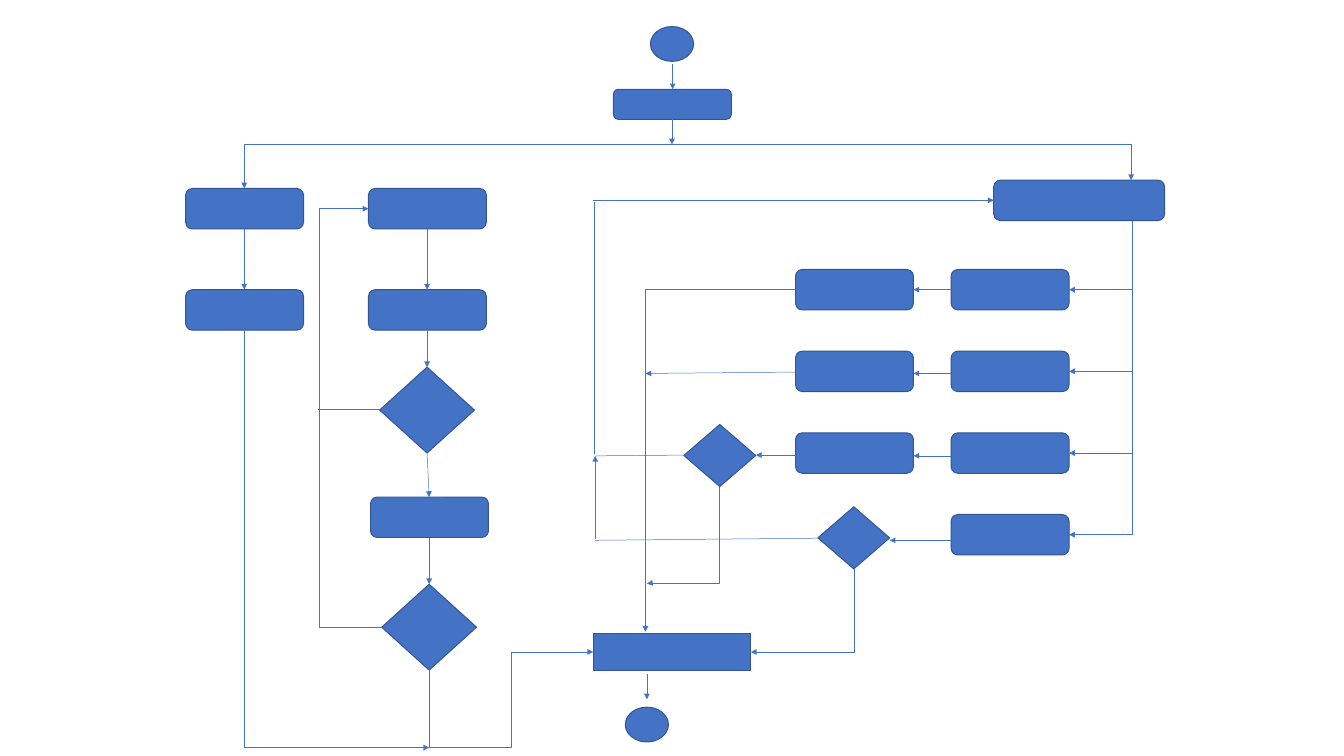
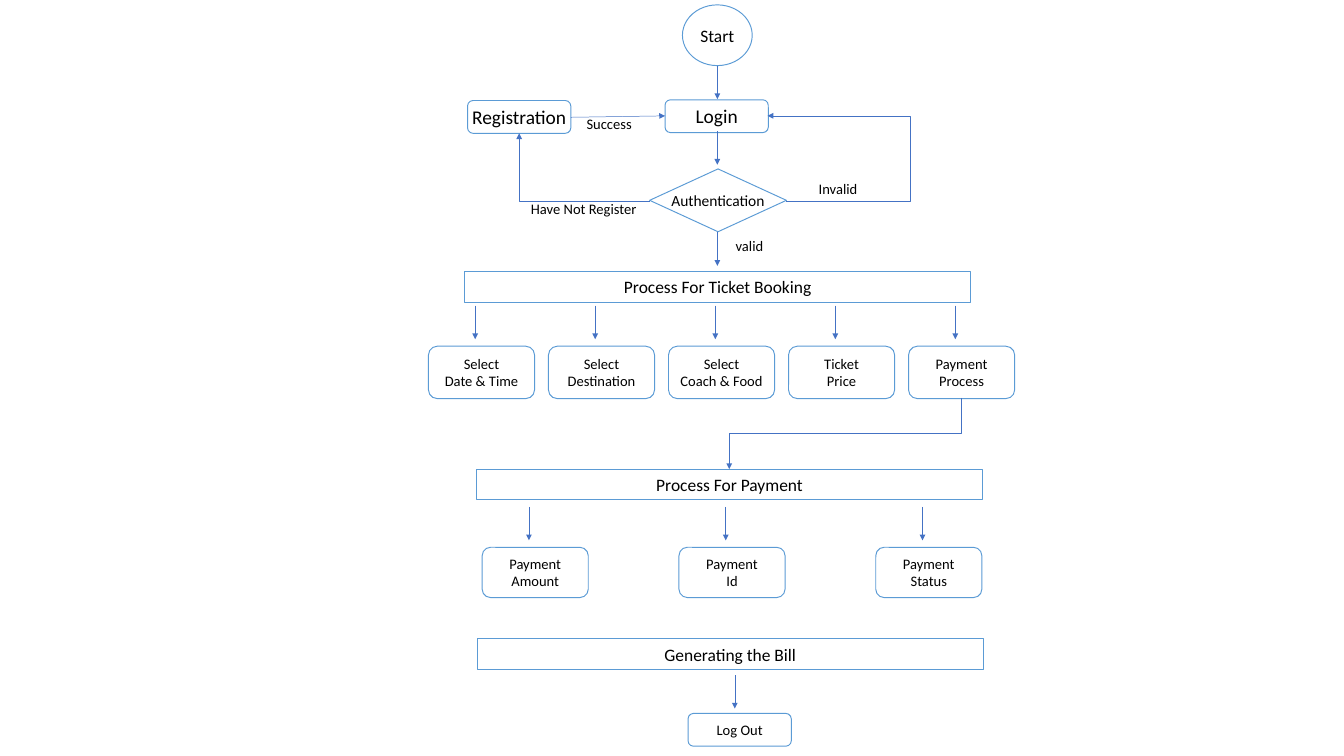
"""Build two flow charts: a bare process outline and a ticket booking flow."""
import dataclasses

import lxml.etree
import pptx
import pptx.dml.color
import pptx.enum.shapes
import pptx.enum.text
import pptx.oxml.ns
import pptx.util

Inches = pptx.util.Inches
Pt = pptx.util.Pt
Color = pptx.dml.color.RGBColor.from_string
Shape = pptx.enum.shapes.MSO_SHAPE
Link = pptx.enum.shapes.MSO_CONNECTOR
qn = pptx.oxml.ns.qn


@dataclasses.dataclass(frozen=True)
class Theme:
    """Colours, type sizes and line widths of the deck."""
    font: str = "Calibri"
    ink: str = "000000"
    wire: str = "4472C4"
    solid: tuple = ("4472C4", "325491")
    plain: tuple = ("FFFFFF", "5B9BD5")
    large: int = 20
    head: int = 18
    mid: int = 16
    small: int = 15
    edge: float = 1
    thin: float = 0.5


theme = Theme()


def add_box(page, kind, spot, look, text="", size=theme.small):
    """Add a shape, or a text box when kind is None, with centred lines."""
    place = [Inches(part) for part in spot]
    if kind is None:
        box = page.shapes.add_textbox(*place)
    else:
        box = page.shapes.add_shape(kind, *place)
        box.shadow.inherit = False
        box.fill.solid()
        box.fill.fore_color.rgb = Color(look[0])
        box.line.color.rgb = Color(look[1])
        box.line.width = Pt(theme.edge)
    if text:
        frame = box.text_frame
        frame.word_wrap = False
        frame.vertical_anchor = pptx.enum.text.MSO_ANCHOR.MIDDLE
        for row, words in enumerate(text.split("\n")):
            para = frame.add_paragraph() if row else frame.paragraphs[0]
            para.alignment = pptx.enum.text.PP_ALIGN.CENTER
            run = para.add_run()
            run.text = words
            run.font.name = theme.font
            run.font.size = Pt(size)
            run.font.color.rgb = Color(theme.ink)


def add_wire(page, *spots, arrow=True):
    """Add a connector through two, three or four points."""
    (left, top), (right, low) = spots[0], spots[-1]
    upright = len(spots) > 2 and spots[1][0] == left
    if upright:
        mid_x, mid_y = (left + right) / 2, (top + low) / 2
        wide, high = low - top, left - right
        ends = (mid_x - wide / 2, mid_y - high / 2, mid_x + wide / 2, mid_y + high / 2)
    else:
        ends = (left, top, right, low)
    kind = Link.STRAIGHT if len(spots) == 2 else Link.ELBOW
    wire = page.shapes.add_connector(kind, *[Inches(part) for part in ends])
    wire.line.color.rgb = Color(theme.wire)
    wire.line.width = Pt(theme.thin)
    props = wire.element.spPr
    if upright:
        props.find(qn("a:xfrm")).set("rot", "5400000")
    form = props.find(qn("a:prstGeom"))
    if len(spots) == 3:
        form.set("prst", "bentConnector2")
    if len(spots) == 4:
        axis = 1 if upright else 0
        start, bend, end = (spots[step][axis] for step in (0, 1, 3))
        ratio = round((bend - start) / (end - start) * 100000)
        guides = form.find(qn("a:avLst"))
        lxml.etree.SubElement(guides, qn("a:gd"), name="adj1", fmla=f"val {ratio}")
    if arrow:
        lxml.etree.SubElement(props.find(qn("a:ln")), qn("a:tailEnd"), type="triangle")
    lxml.etree.SubElement(props, qn("a:effectLst"))


deck = pptx.Presentation()
deck.slide_width = Inches(19.26)
deck.slide_height = Inches(10.83)
blank = deck.slide_layouts[6]

page = deck.slides.add_slide(blank)
rows = [3.86 + 1.17 * step for step in range(4)]
cards = [(2.66, 2.7), (2.66, 4.15), (5.28, 2.7), (5.28, 4.15), (5.31, 7.12)]
cards += [(13.63, top) for top in rows] + [(11.4, top) for top in rows[:3]]
for left, top in cards:
    add_box(page, Shape.ROUNDED_RECTANGLE, (left, top, 1.69, 0.58), theme.solid)
for kind, spot in (
    (Shape.OVAL, (9.32, 0.38, 0.62, 0.5)),
    (Shape.ROUNDED_RECTANGLE, (8.79, 1.28, 1.69, 0.43)),
    (Shape.ROUNDED_RECTANGLE, (14.24, 2.58, 2.45, 0.58)),
    (Shape.DIAMOND, (5.44, 5.26, 1.36, 1.23)),
    (Shape.DIAMOND, (5.47, 8.37, 1.36, 1.23)),
    (Shape.DIAMOND, (9.8, 6.08, 1.03, 0.89)),
    (Shape.DIAMOND, (11.72, 7.26, 1.03, 0.89)),
    (Shape.RECTANGLE, (8.5, 9.07, 2.26, 0.53)),
    (Shape.OVAL, (8.96, 10.13, 0.62, 0.5)),
):
    add_box(page, kind, spot, theme.solid)

for top in rows:
    add_wire(page, (16.22, top + 0.29), (15.32, top + 0.29))
for spots in (
    [(9.64, 0.92), (9.64, 1.28)],
    [(9.63, 1.7), (9.63, 2.07)],
    [(3.5, 2.07), (3.5, 2.7)],
    [(16.21, 2.07), (16.21, 2.58)],
    [(3.5, 3.28), (3.5, 4.15)],
    [(6.12, 3.28), (6.12, 4.15)],
    [(6.12, 4.74), (6.12, 5.26)],
    [(6.12, 6.49), (6.15, 7.12)],
    [(6.15, 7.71), (6.15, 8.37)],
    [(3.5, 10.71), (6.15, 10.71)],
    [(6.15, 10.71), (7.33, 10.71), (7.33, 9.34), (8.5, 9.34)],
    [(5.47, 8.99), (4.57, 8.99), (4.57, 2.99), (5.28, 2.99)],
    [(13.63, 4.15), (13.09, 4.15)],
    [(13.63, 5.35), (13.09, 5.35)],
    [(13.63, 6.53), (13.09, 6.53)],
    [(13.63, 7.74), (12.75, 7.74)],
    [(11.4, 6.52), (10.83, 6.52)],
    [(11.4, 4.15), (9.25, 4.15), (9.25, 9.05)],
    [(11.4, 5.33), (9.25, 5.35)],
    [(10.31, 6.97), (10.31, 8.35), (9.27, 8.35), (9.27, 8.36)],
    [(12.24, 8.15), (12.24, 9.34), (10.76, 9.34)],
    [(8.53, 7.72), (8.53, 6.53)],
    [(8.5, 2.87), (14.24, 2.87)],
    [(9.27, 9.66), (9.27, 10.02)],
):
    add_wire(page, *spots)
for start, end in (
    [(3.5, 2.07), (16.21, 2.07)],
    [(3.5, 4.74), (3.5, 10.71)],
    [(6.15, 9.6), (6.15, 10.71)],
    [(16.22, 3.16), (16.22, 7.67)],
    [(5.44, 5.87), (4.56, 5.87)],
    [(9.8, 6.52), (8.54, 6.53)],
    [(11.72, 7.71), (8.53, 7.74)],
    [(8.51, 6.51), (8.51, 2.89)],
):
    add_wire(page, start, end, arrow=False)

page = deck.slides.add_slide(blank)
for kind, spot, text, size in (
    (Shape.OVAL, (9.78, 0.07, 1, 0.87), "Start", theme.head),
    (Shape.ROUNDED_RECTANGLE, (9.53, 1.43, 1.48, 0.47), "Login", theme.large),
    (Shape.ROUNDED_RECTANGLE, (6.7, 1.44, 1.48, 0.47), "Registration", theme.large),
    (Shape.DIAMOND, (9.31, 2.42, 1.96, 0.9), "Authentication", theme.mid),
    (Shape.RECTANGLE, (6.66, 3.89, 7.25, 0.44), "Process For Ticket Booking", theme.head),
    (Shape.RECTANGLE, (6.83, 6.72, 7.25, 0.44), "Process For Payment", theme.head),
    (Shape.RECTANGLE, (6.84, 9.15, 7.25, 0.44), "Generating the Bill", theme.head),
    (Shape.ROUNDED_RECTANGLE, (9.86, 10.22, 1.48, 0.47), "Log Out", theme.small),
    (None, (8.3, 1.59, 0.86, 0.35), "Success", theme.small),
    (None, (7.5, 2.81, 1.73, 0.35), "Have Not Register", theme.small),
    (None, (11.63, 2.53, 0.76, 0.35), "Invalid", theme.small),
    (None, (10.44, 3.34, 0.6, 0.35), "valid", theme.small),
):
    add_box(page, kind, spot, theme.plain, text, size)

tasks = ["Select\nDate & Time", "Select\nDestination", "Select\nCoach & Food",
         "Ticket\nPrice", "Payment\nProcess"]
bills = ["Payment\nAmount", "Payment\nId", "Payment\nStatus"]
for first, step, top, high, names in (
    (6.14, 1.72, 4.96, 0.75, tasks),
    (6.91, 2.82, 7.84, 0.72, bills),
):
    for rank, name in enumerate(names):
        left = first + rank * step
        add_box(page, Shape.ROUNDED_RECTANGLE, (left, top, 1.52, high), theme.plain, name)
        add_wire(page, (left + 0.67, top - 0.58), (left + 0.67, top - 0.1))

for spots in (
    [(10.28, 0.94), (10.28, 1.42)],
    [(10.28, 1.88), (10.28, 2.36)],
    [(10.28, 3.33), (10.28, 3.81)],
    [(8.18, 1.68), (9.53, 1.66)],
    [(9.31, 2.88), (7.44, 2.88), (7.44, 1.91)],
    [(11.27, 2.88), (13.04, 2.88), (13.04, 1.66), (11, 1.66)],
    [(13.77, 5.7), (13.77, 6.21), (10.45, 6.21), (10.45, 6.72)],
    [(10.53, 9.67), (10.53, 10.15)],
):
    add_wire(page, *spots)

deck.save("out.pptx")
